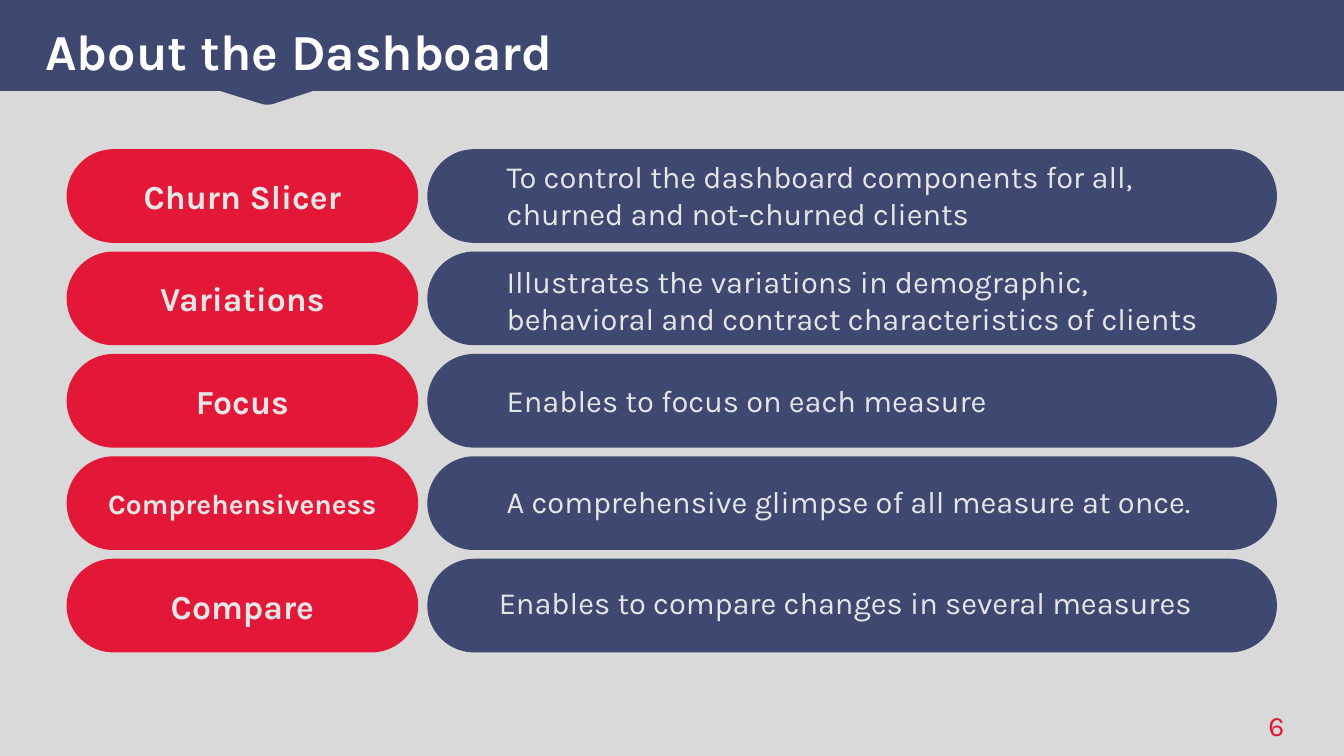
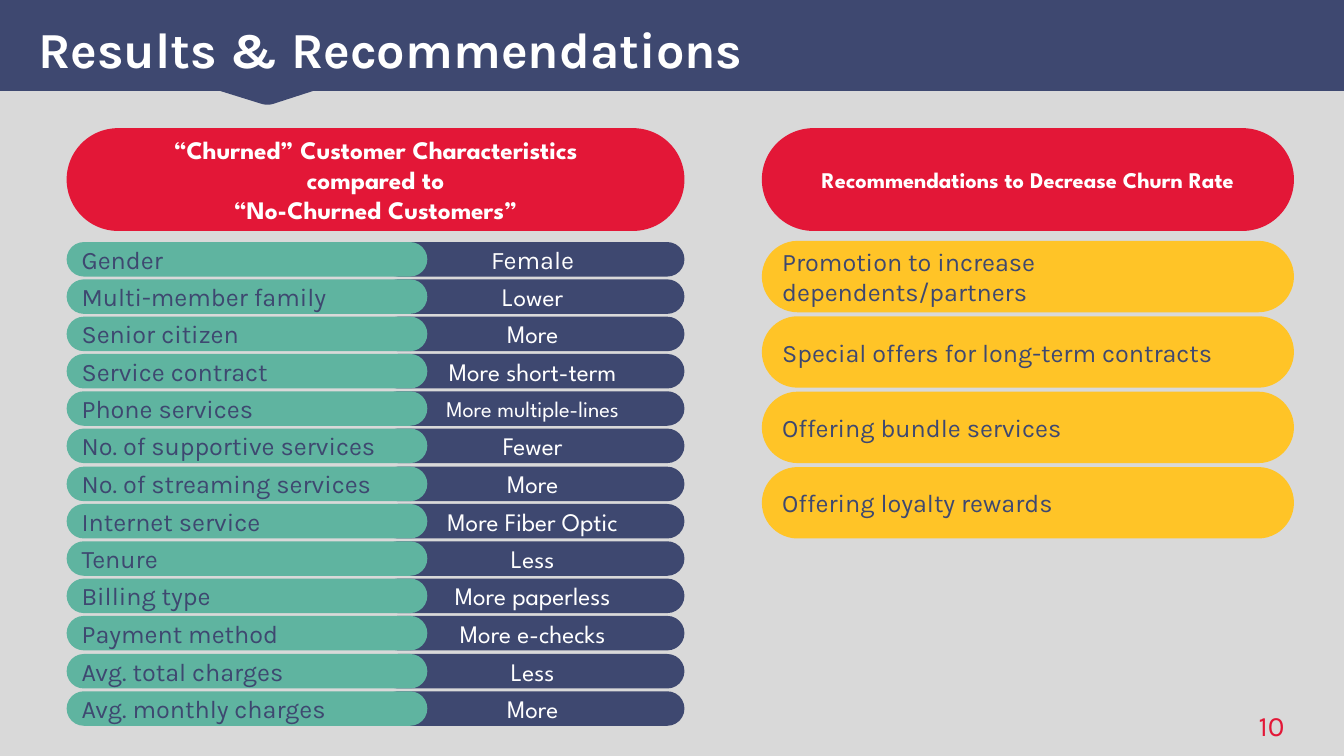
from pptx import Presentation
from pptx.dml.color import RGBColor
from pptx.enum.shapes import MSO_SHAPE
from pptx.enum.text import MSO_ANCHOR, PP_ALIGN
from pptx.util import Cm, Pt

NAVY = RGBColor(0x3E, 0x48, 0x70)
RED = RGBColor(0xE3, 0x17, 0x37)
GREEN = RGBColor(0x5F, 0xB4, 0xA0)
YELLOW = RGBColor(0xFF, 0xC4, 0x27)
GREY = RGBColor(0xD9, 0xD9, 0xD9)
PALE = RGBColor(0xE7, 0xE6, 0xE6)
WHITE = RGBColor(0xFF, 0xFF, 0xFF)
KARLA, SPARTAN = "Karla", "League Spartan"
LEFT, CENTER, RIGHT = PP_ALIGN.LEFT, PP_ALIGN.CENTER, PP_ALIGN.RIGHT
TOP, MIDDLE, BOTTOM = MSO_ANCHOR.TOP, MSO_ANCHOR.MIDDLE, MSO_ANCHOR.BOTTOM
ROUNDED = MSO_SHAPE.ROUNDED_RECTANGLE


def write(shape, text, size, color, font=KARLA, bold=False, align=LEFT, anchor=MIDDLE):
    frame = shape.text_frame
    frame.word_wrap = True
    frame.vertical_anchor = anchor
    frame.text = text
    for paragraph in frame.paragraphs:
        paragraph.alignment = align
        for run in paragraph.runs:
            run.font.name = font
            run.font.size = Pt(size)
            run.font.bold = bold
            run.font.color.rgb = color


def add_pill(slide, left, top, width, height, fill):
    """Add a bar with fully rounded ends; positions are in centimetres."""
    pill = slide.shapes.add_shape(ROUNDED, Cm(left), Cm(top), Cm(width), Cm(height))
    pill.adjustments[0] = 0.5
    pill.shadow.inherit = False
    pill.fill.solid()
    pill.fill.fore_color.rgb = fill
    pill.line.fill.background()
    return pill


prs = Presentation()
prs.slide_width, prs.slide_height = Cm(33.87), Cm(19.05)
prs.slide_master.background.fill.solid()
prs.slide_master.background.fill.fore_color.rgb = GREY

# Shared frame: notched band, title and page number
BAND_OUTLINE = [(0, 0), (0, 2.29), (5.54, 2.29), (6.6, 2.62), (6.7, 2.64),
                (6.79, 2.64), (6.88, 2.62), (7.9, 2.29), (33.87, 2.29)]
slides = []
for title, page, title_left, title_top in [
    ("About the Dashboard", "6", 0.89, 0.13),
    ("Results & Recommendations", "10", 0.71, 0.08),
]:
    slide = prs.slides.add_slide(prs.slide_layouts[6])
    outline = slide.shapes.build_freeform(Cm(33.87), 0)
    outline.add_line_segments([(Cm(x), Cm(y)) for x, y in BAND_OUTLINE])
    band = outline.convert_to_shape()
    band.shadow.inherit = False
    band.fill.solid()
    band.fill.fore_color.rgb = NAVY
    band.line.fill.background()

    heading = slide.shapes.add_textbox(Cm(title_left), Cm(title_top), Cm(29.36), Cm(2.03))
    write(heading, title, 36, WHITE, bold=True, anchor=BOTTOM)
    page_number = slide.shapes.add_textbox(Cm(29.67), Cm(17.35), Cm(2.95), Cm(1.37))
    page_number.text_frame.margin_bottom = Cm(0.03)
    write(page_number, page, 20, RED, align=RIGHT, anchor=BOTTOM)
    slides.append(slide)

dashboard, results = slides
MARGIN = 1.68

# About the Dashboard: feature, its size, description, description's left and top
FEATURES = [
    ("Churn Slicer", 24,
     "To control the dashboard components for all, churned and not-churned clients", 12.52, 3.86),
    ("Variations", 24,
     "Illustrates the variations in demographic, behavioral and contract "
     "characteristics of clients", 12.52, 6.5),
    ("Focus", 24, "Enables to focus on each measure", 12.52, 9.5),
    ("Comprehensiveness", 20, "A comprehensive glimpse of all measure at once.", 12.52, 12.04),
    ("Compare", 24, "Enables to compare changes in several measures", 12.32, 14.58),
]
for row, (feature, size, description, text_left, text_top) in enumerate(FEATURES):
    top = 3.76 + 2.58 * row
    feature_pill = add_pill(dashboard, MARGIN, top, 8.86, 2.36, RED)
    write(feature_pill, feature, size, PALE, bold=True, align=CENTER)
    add_pill(dashboard, 10.77, top, 21.41, 2.36, NAVY)
    explanation = dashboard.shapes.add_textbox(Cm(text_left), Cm(text_top), Cm(18.29), Cm(1.19))
    write(explanation, description, 22, PALE, anchor=TOP)

# Results & Recommendations: column headings
RECOMMENDATIONS_LEFT = 19.2
HEADINGS = [
    ("“Churned” Customer Characteristics\ncompared to\n“No-Churned Customers”",
     18, MARGIN, 15.57),
    ("Recommendations to Decrease Churn Rate", 16, RECOMMENDATIONS_LEFT, 13.41),
]
for text, size, left, width in HEADINGS:
    column_heading = add_pill(results, left, 3.23, width, 2.59, RED)
    write(column_heading, text, size, WHITE, SPARTAN, bold=True, align=CENTER)

# Churned customers, in groups that each start at their own height
CHARACTERISTIC_GROUPS = [
    (6.1, [("Gender", "Female"), ("Multi-member family", "Lower"),
           ("Senior citizen", "More"), ("Service contract", "More short-term"),
           ("Phone services", "More multiple-lines"),
           ("No. of supportive services", "Fewer")]),
    (11.76, [("No. of streaming services", "More"), ("Internet service", "More Fiber Optic"),
             ("Tenure", "Less"), ("Billing type", "More paperless"),
             ("Payment method", "More e-checks")]),
    (16.48, [("Avg. total charges", "Less"), ("Avg. monthly charges", "More")]),
]
for group_top, characteristics in CHARACTERISTIC_GROUPS:
    for row, (characteristic, finding) in enumerate(characteristics):
        top = group_top + 0.94 * row
        finding_pill = add_pill(results, 9.6, top, 7.65, 0.87, NAVY)
        write(finding_pill, finding, 16 if finding == "More multiple-lines" else 18, WHITE,
              KARLA if finding == "Female" else SPARTAN, align=CENTER)
        characteristic_pill = add_pill(results, MARGIN, top, 9.09, 0.87, GREEN)
        write(characteristic_pill, characteristic, 18, NAVY)

RECOMMENDATIONS = [
    "Promotion to increase dependents/partners",
    "Special offers for long-term contracts",
    "Offering bundle services",
    "Offering loyalty rewards",
]
for row, recommendation in enumerate(RECOMMENDATIONS):
    recommendation_pill = add_pill(results, RECOMMENDATIONS_LEFT, 6.07 + 1.9 * row,
                                   13.41, 1.8, YELLOW)
    write(recommendation_pill, recommendation, 18, NAVY)

prs.save("out.pptx")
